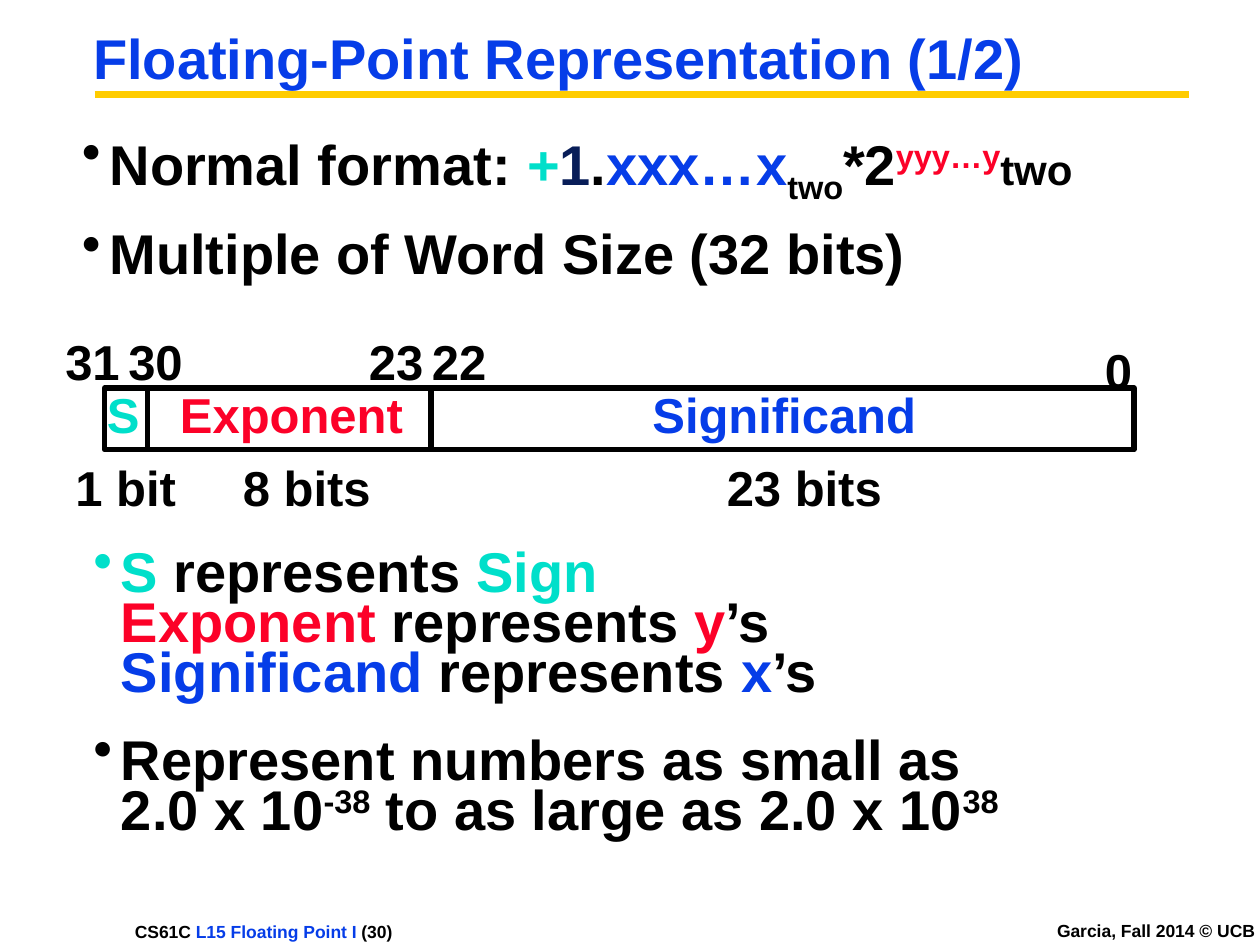
from lxml import etree
from pptx import Presentation
from pptx.dml.color import RGBColor
from pptx.enum.shapes import MSO_CONNECTOR, MSO_SHAPE
from pptx.enum.text import MSO_ANCHOR, MSO_AUTO_SIZE, PP_ALIGN
from pptx.oxml.ns import qn
from pptx.util import Inches, Pt

BLACK = RGBColor(0x00, 0x00, 0x00)
BLUE = RGBColor(0x06, 0x3D, 0xE8)
NAVY = RGBColor(0x08, 0x1D, 0x58)
RED = RGBColor(0xFC, 0x01, 0x28)
TEAL = RGBColor(0x00, 0xDF, 0xCA)
GOLD = RGBColor(0xFF, 0xCC, 0x00)

LEFT, RIGHT = PP_ALIGN.LEFT, PP_ALIGN.RIGHT
TOP = MSO_ANCHOR.TOP
GROW = MSO_AUTO_SIZE.SHAPE_TO_FIT_TEXT
RECTANGLE = MSO_SHAPE.RECTANGLE
STRAIGHT = MSO_CONNECTOR.STRAIGHT

TIGHT = (0.07, 0.03)
LOOSE = (0.1, 0.05)
BAR_TOP, BAR_BOTTOM = 3.08, 3.57


def add_run(p, text, size=32, color=BLACK, baseline=0):
    """Add one bold run; a baseline in percent raises or lowers it."""
    r = p.add_run()
    r.text = text
    r.font.name = "Arial"
    r.font.size = Pt(size)
    r.font.bold = True
    r.font.color.rgb = color
    if baseline:
        r.font._element.set("baseline", str(baseline * 1000))


def format_frame(tf, insets=LOOSE, wrap=False):
    """Set the insets, wrapping and growth of a text frame."""
    tf.auto_size = GROW
    tf.word_wrap = wrap
    tf.vertical_anchor = TOP
    tf.margin_left = tf.margin_right = Inches(insets[0])
    tf.margin_top = tf.margin_bottom = Inches(insets[1])


def place(sp, left, top, width, height):
    """Move and size a shape, in inches."""
    sp.left, sp.top = Inches(left), Inches(top)
    sp.width, sp.height = Inches(width), Inches(height)


def add_text(s, box, runs, align=LEFT, insets=LOOSE, wrap=False, size=28):
    """Add a one-paragraph text box from (text, color) pairs."""
    tf = s.shapes.add_textbox(*map(Inches, box)).text_frame
    format_frame(tf, insets, wrap)
    p = tf.paragraphs[0]
    p.alignment = align
    for text, color in runs:
        add_run(p, text, size, color)


def add_bullets(s, box, items):
    """Add a bulleted list; each item is lines of run arguments."""
    tf = s.shapes.add_textbox(*map(Inches, box)).text_frame
    format_frame(tf, TIGHT, True)
    for i, lines in enumerate(items):
        p = tf.add_paragraph() if i else tf.paragraphs[0]
        p.line_spacing = 0.75
        p.space_before = Pt(21)
        pPr = p._p.get_or_add_pPr()
        pPr.set("marL", str(Inches(0.22)))
        pPr.set("indent", str(-Inches(0.22)))
        etree.SubElement(pPr, qn("a:buChar"), char="•")
        for j, line in enumerate(lines):
            if j:
                p.add_line_break()
            for text, fmt in line:
                add_run(p, text, **fmt)


def add_line(s, start, end, color=BLACK, width=3):
    """Add a straight line without a shadow."""
    line = s.shapes.add_connector(STRAIGHT, *map(Inches, start + end))
    line.line.color.rgb = color
    line.line.width = Pt(width)
    etree.SubElement(line._element.spPr, qn("a:effectLst"))


def add_title(s, text):
    """Place and format the title."""
    title = s.shapes.title
    place(title, 0.67, 0.23, 7.71, 0.54)
    format_frame(title.text_frame, TIGHT)
    p = title.text_frame.paragraphs[0]
    p.alignment = LEFT
    p.line_spacing = 0.87
    add_run(p, text, color=BLUE)


def add_word_layout(s):
    """Draw the 32-bit word with its fields, bit numbers and widths."""
    bar = s.shapes.add_shape(RECTANGLE, Inches(0.83), Inches(BAR_TOP),
                             Inches(8.17), Inches(BAR_BOTTOM - BAR_TOP))
    bar.shadow.inherit = False
    bar.fill.background()
    bar.line.color.rgb = BLACK
    bar.line.width = Pt(3)
    for x in (1.17, 3.42):
        add_line(s, (x, BAR_TOP), (x, BAR_BOTTOM))
    labels = [
        ("31", 0.42, 2.58, 0.63, BLACK),
        ("30", 0.92, 2.58, 0.63, BLACK),
        ("23", 2.83, 2.58, 0.63, BLACK),
        ("22", 3.33, 2.58, 0.63, BLACK),
        ("0", 8.67, 2.65, 0.42, BLACK),
        ("S", 0.75, 3, 0.46, TEAL),
        ("Exponent", 1.33, 3, 1.97, RED),
        ("Significand", 5.08, 3, 2.3, BLUE),
        ("1 bit", 0.5, 3.58, 1, BLACK),
        ("8 bits", 1.83, 3.58, 1.22, BLACK),
        ("23 bits", 5.67, 3.58, 1.43, BLACK),
    ]
    for text, left, top, width, color in labels:
        add_text(s, (left, top, width, 0.57), [(text, color)])


def main():
    """Build the slide and save it."""
    prs = Presentation()
    prs.slide_width, prs.slide_height = Inches(10), Inches(7.5)
    s = prs.slides.add_slide(prs.slide_layouts[5])

    add_text(s, (1, 7.28, 5.42, 0.22),
             [("CS61C ", BLACK), ("L15 Floating Point I ", BLUE), ("(30)", BLACK)],
             insets=TIGHT, wrap=True, size=10)
    add_text(s, (8.3, 7.27, 1.73, 0.22), [("Garcia, Fall 2014 © UCB", BLACK)],
             align=RIGHT, insets=TIGHT, size=10)
    add_line(s, (0.75, 0.75), (9.44, 0.75), GOLD, 4.5)
    add_title(s, "Floating-Point Representation (1/2)")

    plain, teal, red, blue = {}, {"color": TEAL}, {"color": RED}, {"color": BLUE}
    power = {"baseline": 30}
    add_bullets(s, (0.58, 1.08, 9, 1.24), [
        [[("Normal format: ", plain), ("+", teal), ("1", {"color": NAVY}),
          (".", plain), ("xxx…x", blue), ("two", {"baseline": -25}),
          ("*2", plain), ("yyy…y", {**red, **power}), ("two", {"size": 24})]],
        [[("Multiple of Word Size (32 bits)", plain)]],
    ])
    add_word_layout(s)
    add_bullets(s, (0.67, 4.35, 8.75, 2.4), [
        [[("S", teal), (" represents ", plain), ("Sign", teal)],
         [("Exponent", red), (" represents ", plain), ("y", red), ("’s", plain)],
         [("Significand", blue), (" represents ", plain), ("x", blue), ("’s", plain)]],
        [[("Represent numbers as small as", plain)],
         [("2.0 x 10", plain), ("-38", power),
          (" to as large as 2.0 x 10", plain), ("38", power)]],
    ])
    prs.save("out.pptx")


if __name__ == "__main__":
    main()
